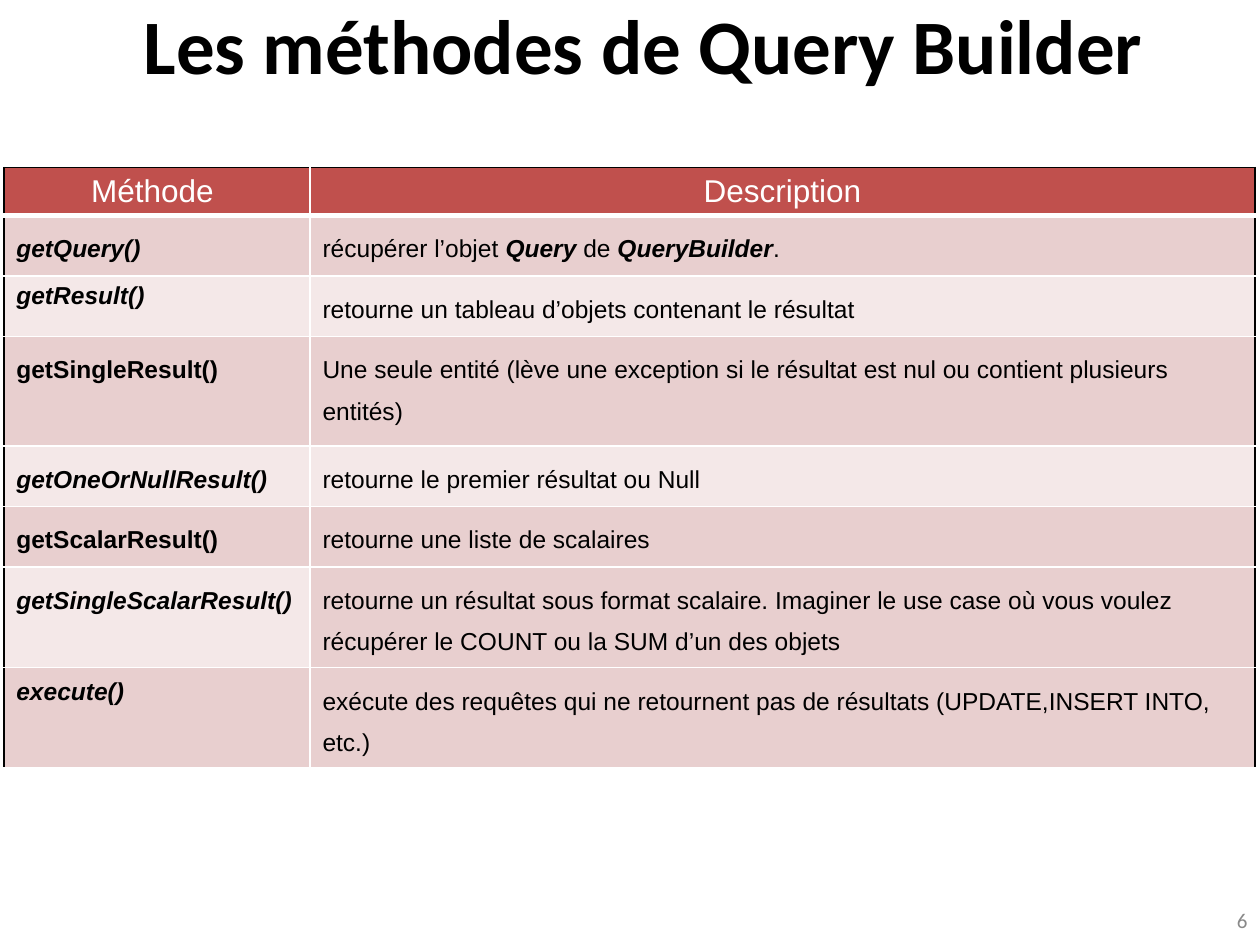
from lxml.etree import SubElement
from pptx import Presentation
from pptx.dml.color import RGBColor
from pptx.enum.text import MSO_ANCHOR, PP_ALIGN
from pptx.oxml.ns import qn
from pptx.util import Inches, Pt

COLORS = {
    "black": "000000",
    "white": "FFFFFF",
    "grey": "898989",
    "header": "C0504D",
    "dark": "E8CFCF",
    "light": "F4E8E8",
}

TITLE = "Les méthodes de Query Builder"
HEADERS = ["Méthode ", "Description"]
COL_WIDTHS = [2.43, 7.5]

# Method, italic, line spacing, description (bold italic between asterisks), row height
METHODS = [
    ("getQuery()", True, 1.5, "récupérer l’objet *Query* de *QueryBuilder*.", 0.48),
    ("getResult()", True, 1.0, "retourne un tableau d’objets contenant le résultat", 0.48),
    ("getSingleResult()", False, 1.5,
     "Une seule entité (lève une exception si le résultat est nul ou contient "
     "plusieurs entités)", 0.87),
    ("getOneOrNullResult()", True, 1.5, "retourne le premier résultat ou Null", 0.48),
    ("getScalarResult()", False, 1.5, "retourne une liste de scalaires", 0.48),
    ("getSingleScalarResult()", True, 1.5,
     "retourne un résultat sous format scalaire. Imaginer le use case où vous voulez "
     "récupérer le COUNT ou la SUM d’un des objets", 0.8),
    ("execute()", True, 1.15,
     "exécute des requêtes qui ne retournent pas de résultats "
     "(UPDATE,INSERT INTO, etc.)", 0.79),
]
HEADER_HEIGHT = 0.36


def rgb(name):
    return RGBColor.from_string(COLORS[name])


class SlideBuilder:
    """Holds the style and the current slide."""

    def __init__(self, prs):
        self.width, self.height = prs.slide_width, prs.slide_height
        self.s = prs.slides.add_slide(prs.slide_layouts[5])

    def box(self, x, y, w, h):
        """Turn shares of the slide into lengths."""
        return (round(x * self.width), round(y * self.height),
                round(w * self.width), round(h * self.height))

    def style(self, p, font, size, color, align=PP_ALIGN.LEFT, bold=None):
        p.alignment = align
        p.font.name, p.font.size, p.font.bold = font, Pt(size), bold
        p.font.color.rgb = rgb(color)

    def title(self, text, *area):
        sp = self.s.shapes.title
        sp.left, sp.top, sp.width, sp.height = self.box(*area)
        tf = sp.text_frame
        tf.text = text
        tf.vertical_anchor = MSO_ANCHOR.MIDDLE
        p = tf.paragraphs[0]
        self.style(p, "Calibri", 44, "black", PP_ALIGN.CENTER, True)
        p._p.get_or_add_pPr().set("marL", str(Inches(0.22)))

    def page_number(self, text, *area):
        tf = self.s.shapes.add_textbox(*self.box(*area)).text_frame
        tf.word_wrap = True
        tf.vertical_anchor = MSO_ANCHOR.MIDDLE
        tf.text = text
        self.style(tf.paragraphs[0], "Calibri", 12, "grey", PP_ALIGN.RIGHT)

    def table(self, col_widths, row_heights, *area):
        shape = self.s.shapes.add_table(len(row_heights), len(col_widths), *self.box(*area))
        table = shape.table
        table.horz_banding = False
        for column, width in zip(table.columns, col_widths):
            column.width = Inches(width)
        for row, height in zip(table.rows, row_heights):
            row.height = Inches(height)
        return table

    def cell(self, cell, runs, size, color, fill, borders, align=PP_ALIGN.LEFT, spacing=1.0):
        """Fill a cell with (text, bold, italic) runs."""
        p = cell.text_frame.paragraphs[0]
        self.style(p, "Arial", size, color, align)
        p.line_spacing = spacing
        for text, bold, italic in runs:
            r = p.add_run()
            r.text = text
            r.font.bold, r.font.italic = bold, italic
        self.borders(cell, borders)
        cell.fill.solid()
        cell.fill.fore_color.rgb = rgb(fill)

    def borders(self, cell, borders):
        tc_pr = cell._tc.get_or_add_tcPr()
        for side, (color, width) in borders.items():
            ln = SubElement(tc_pr, qn(f"a:ln{side}"), w=str(Pt(width)))
            fill = SubElement(ln, qn("a:solidFill"))
            SubElement(fill, qn("a:srgbClr"), val=COLORS[color])


def cell_borders(col, header=False):
    """Black on the outer edges, white inside."""
    return {
        "L": ("black" if col == 0 else "white", 1),
        "R": ("black" if col == 1 else "white", 1),
        "T": ("black" if header else "white", 1),
        "B": ("white", 3 if header else 1),
    }


def main():
    prs = Presentation()
    prs.slide_width, prs.slide_height = Inches(10), Inches(7.5)
    b = SlideBuilder(prs)

    # Title
    b.title(TITLE, 0, -0.28 / 7.5, 1, 1.25 / 7.5)

    # Table header
    heights = [HEADER_HEIGHT] + [method[-1] for method in METHODS]
    table = b.table(COL_WIDTHS, heights, 0.003, 1.33 / 7.5, 0.993, sum(heights) / 7.5)
    for col, text in enumerate(HEADERS):
        b.cell(table.cell(0, col), [(text, False, False)], 18, "white", "header",
               cell_borders(col, header=True), PP_ALIGN.CENTER)

    # Table body, in alternating bands
    for row, (name, italic, spacing, description, _) in enumerate(METHODS, 1):
        band = "dark" if row % 2 else "light"
        b.cell(table.cell(row, 0), [(name, True, italic)], 14, "black", band,
               cell_borders(0), spacing=spacing)
        runs = [(part, i % 2 == 1, i % 2 == 1)
                for i, part in enumerate(description.split("*"))]
        # The description of getSingleScalarResult() stays dark
        band = "dark" if name == "getSingleScalarResult()" else band
        b.cell(table.cell(row, 1), runs, 14, "black", band, cell_borders(1), spacing=1.5)

    # Page number
    b.page_number("6", 0.767, 7.1 / 7.5, 0.233, 0.4 / 7.5)

    prs.save("out.pptx")


if __name__ == "__main__":
    main()
